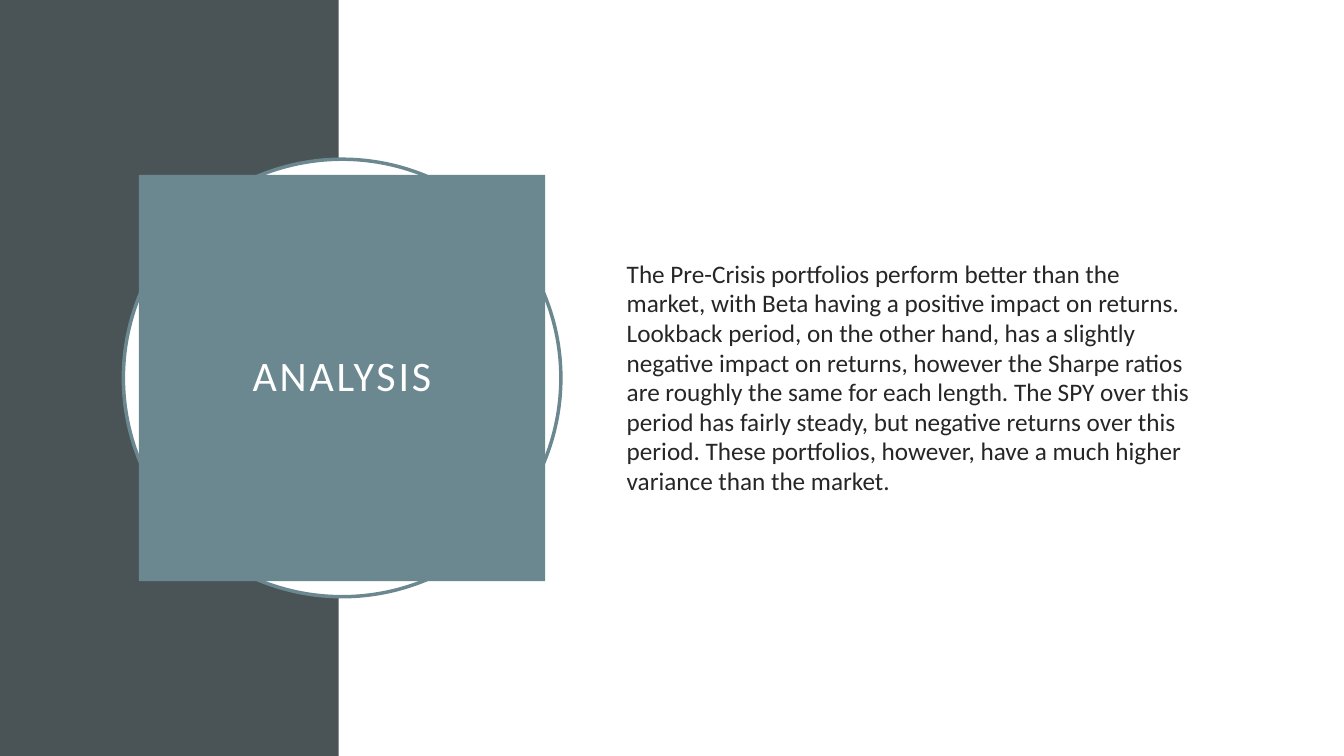
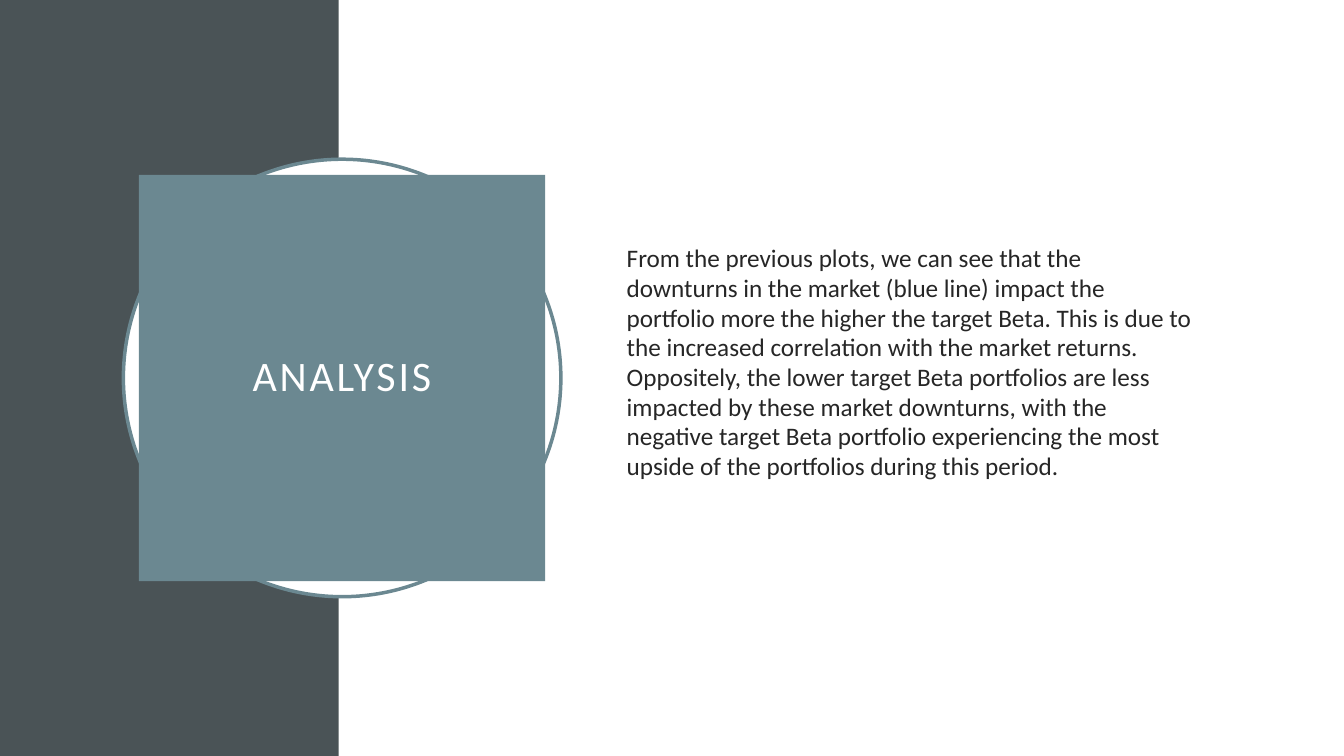
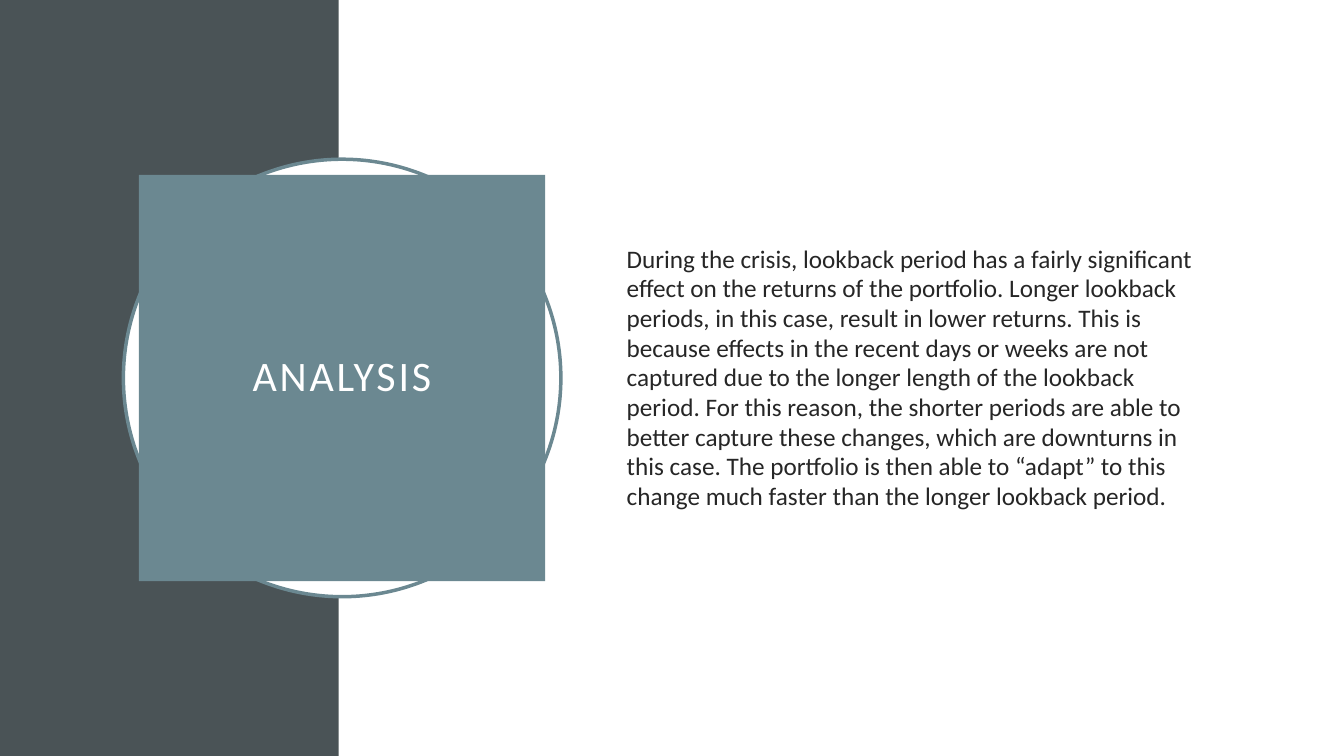
from pptx import Presentation
from pptx.dml.color import RGBColor
from pptx.enum.shapes import MSO_SHAPE as Shape
from pptx.enum.text import MSO_ANCHOR as Anchor, PP_ALIGN as Align
from pptx.util import Pt

SLATE = RGBColor(0x4A, 0x53, 0x56)
TEAL = RGBColor(0x6B, 0x88, 0x91)
WHITE = RGBColor(0xFF, 0xFF, 0xFF)
INK = RGBColor(0x26, 0x26, 0x26)

WIDTH, HEIGHT = 960, 540
MIDDLE = HEIGHT / 2
BAND_WIDTH = 242
BADGE_CENTER = 244.4
CIRCLE_SIZE, SQUARE_SIZE = 312.5, 290.2
BODY_LEFT, BODY_WIDTH, BODY_HEIGHT = 440.6, 419, 319

# Title, body text and the upward shift of the body
ANALYSES = [
    ("ANALYSIS",
     "The Pre-Crisis portfolios perform better than the market, with Beta having "
     "a positive impact on returns. Lookback period, on the other hand, has a "
     "slightly negative impact on returns, however the Sharpe ratios are roughly "
     "the same for each length. The SPY over this period has fairly steady, but "
     "negative returns over this period. These portfolios, however, have a much "
     "higher variance than the market.", 0),
    ("ANALYSIS",
     "From the previous plots, we can see that the downturns in the market (blue "
     "line) impact the portfolio more the higher the target Beta. This is due to "
     "the increased correlation with the market returns. Oppositely, the lower "
     "target Beta portfolios are less impacted by these market downturns, with "
     "the negative target Beta portfolio experiencing the most upside of the "
     "portfolios during this period.", 10.8),
    ("ANALYSIS",
     "During the crisis, lookback period has a fairly significant effect on the "
     "returns of the portfolio. Longer lookback periods, in this case, result in "
     "lower returns. This is because effects in the recent days or weeks are not "
     "captured due to the longer length of the lookback period. For this reason, "
     "the shorter periods are able to better capture these changes, which are "
     "downturns in this case. The portfolio is then able to “adapt” to this "
     "change much faster than the longer lookback period.", 0),
]


class Deck:
    font = "Calibri"

    def __init__(self):
        self.presentation = Presentation()
        self.presentation.slide_width = Pt(WIDTH)
        self.presentation.slide_height = Pt(HEIGHT)
        self.slide = None

    def add_slide(self):
        """Start a blank slide with the dark side band."""
        layout = self.presentation.slide_layouts[6]
        self.slide = self.presentation.slides.add_slide(layout)
        self.add_shape(Shape.RECTANGLE, 0, 0, BAND_WIDTH, HEIGHT, SLATE)

    def add_shape(self, kind, left, top, width, height, fill, line=None):
        shape = self.slide.shapes.add_shape(
            kind, Pt(left), Pt(top), Pt(width), Pt(height))
        shape.shadow.inherit = False
        shape.fill.solid()
        shape.fill.fore_color.rgb = fill
        if line is None:
            shape.line.fill.background()
        else:
            shape.line.color.rgb = line
            shape.line.width = Pt(2.5)
        return shape

    def add_centered(self, kind, size, fill, line=None):
        """Add a shape of equal sides around the badge center."""
        return self.add_shape(kind, BADGE_CENTER - size / 2, MIDDLE - size / 2,
                              size, size, fill, line)

    def set_text(self, shape, text, size, color, align, spacing):
        frame = shape.text_frame
        frame.text = text
        frame.word_wrap = True
        frame.vertical_anchor = Anchor.MIDDLE
        paragraph = frame.paragraphs[0]
        paragraph.alignment = align
        paragraph.line_spacing = spacing
        font = paragraph.runs[0].font
        font.name, font.size = self.font, Pt(size)
        font.color.rgb = color
        return paragraph

    def add_title(self, text):
        self.add_centered(Shape.OVAL, CIRCLE_SIZE, WHITE, TEAL)
        square = self.add_centered(Shape.RECTANGLE, SQUARE_SIZE, TEAL)
        paragraph = self.set_text(square, text, 30, WHITE, Align.CENTER, 0.9)
        # Letter spacing in hundredths of a point
        paragraph.runs[0]._r.get_or_add_rPr().set("spc", "200")

    def add_body(self, text, shift):
        box = self.slide.shapes.add_textbox(
            Pt(BODY_LEFT), Pt(MIDDLE - BODY_HEIGHT / 2 - shift),
            Pt(BODY_WIDTH), Pt(BODY_HEIGHT))
        self.set_text(box, text, 18, INK, Align.LEFT, 0.98)


def main():
    deck = Deck()
    for title, body, shift in ANALYSES:
        deck.add_slide()
        deck.add_title(title)
        deck.add_body(body, shift)
    deck.presentation.save("out.pptx")


if __name__ == "__main__":
    main()
